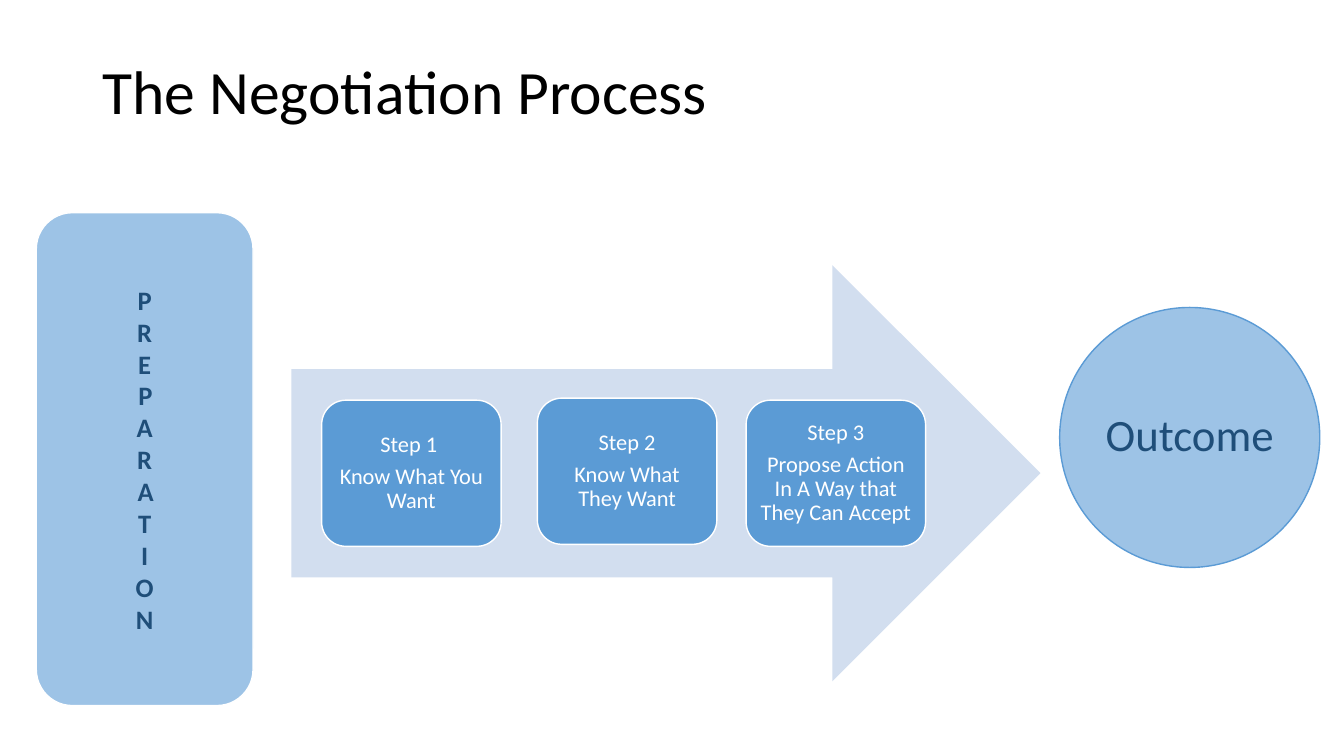
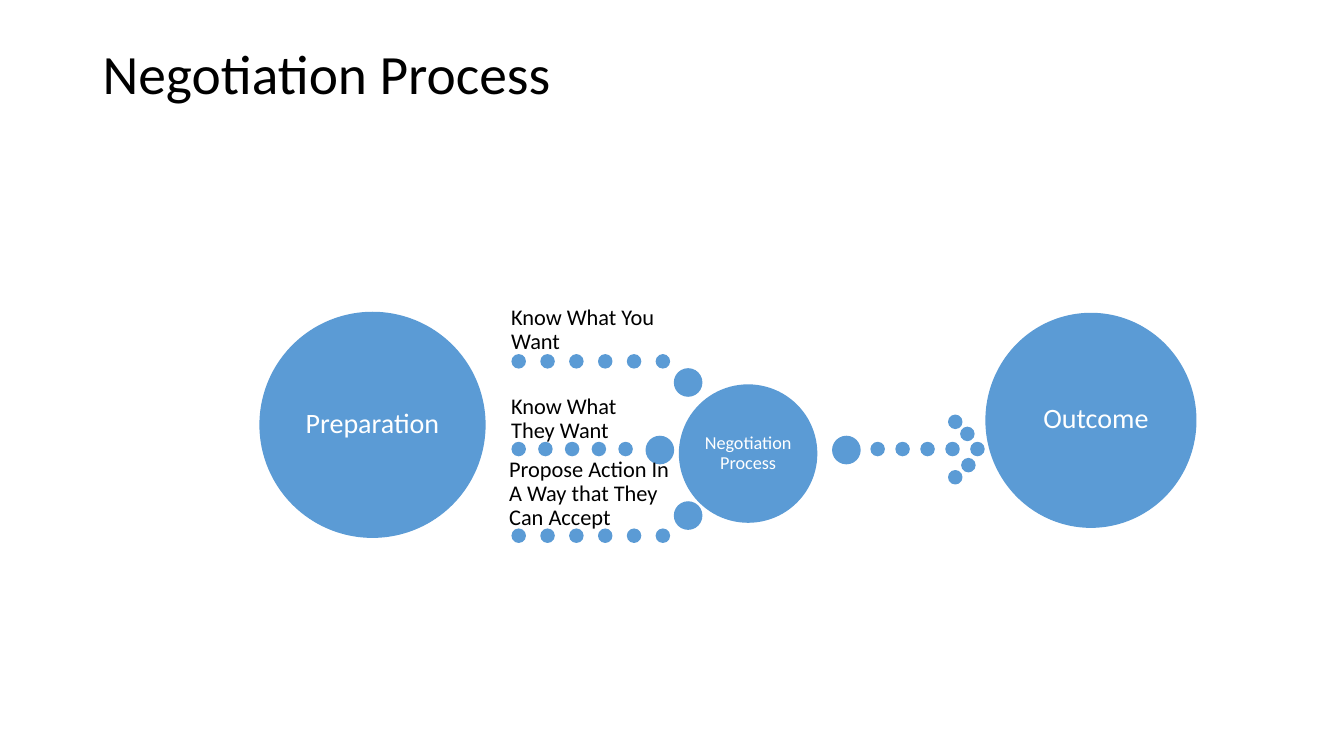
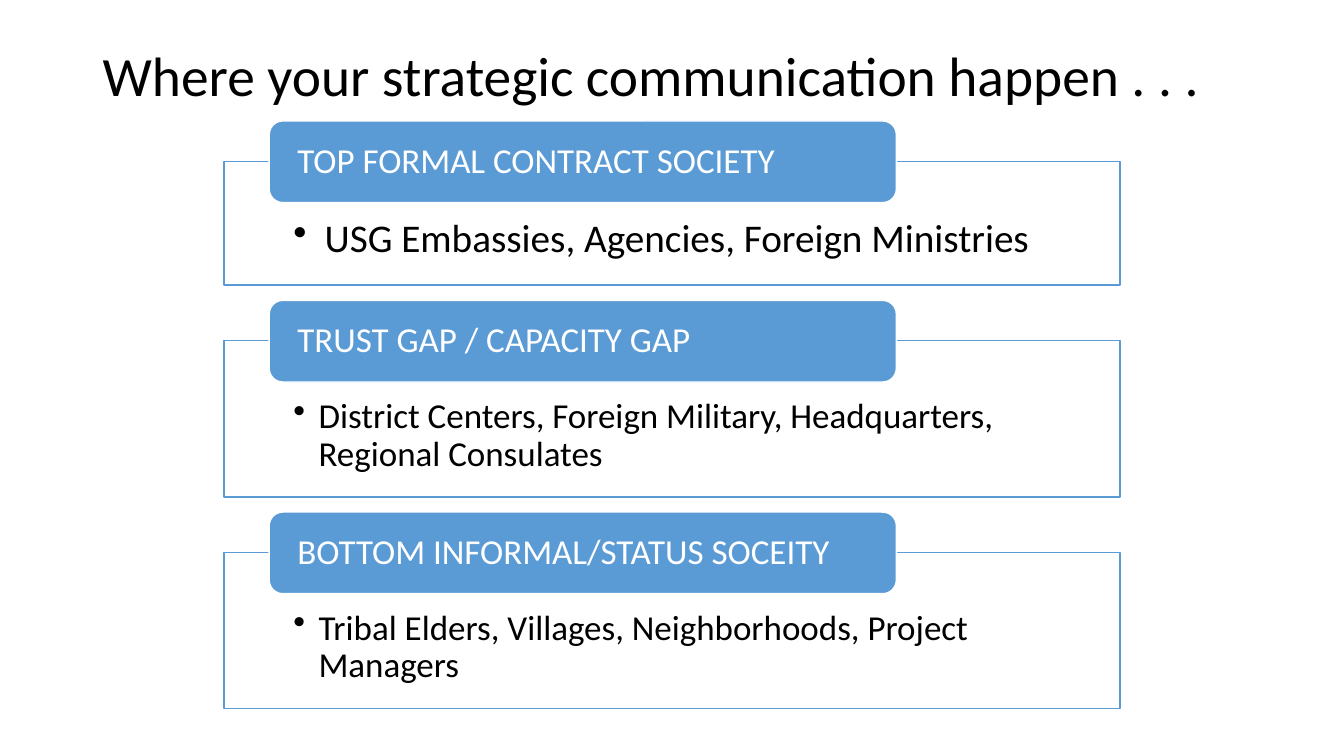
import dataclasses

import lxml.etree
import pptx
import pptx.dml.color
import pptx.enum.shapes
import pptx.enum.text
import pptx.oxml.ns
import pptx.util

Inches = pptx.util.Inches
Pt = pptx.util.Pt
Kind = pptx.enum.shapes.MSO_SHAPE
Align = pptx.enum.text.PP_ALIGN
Anchor = pptx.enum.text.MSO_ANCHOR


@dataclasses.dataclass(frozen=True)
class Theme:
    """Colours, font and type sizes shared by the slides."""
    font: str = "Calibri"
    black: str = "000000"
    white: str = "FFFFFF"
    blue: str = "5B9BD5"
    soft: str = "9DC3E6"
    pale: str = "D2DEEF"
    navy: str = "1F4E79"
    title: float = 44
    small_title: float = 39.6
    big: float = 32
    lead: float = 28
    body: float = 25
    label: float = 20
    tall: float = 19
    note: float = 16
    tiny: float = 13


THEME = Theme()


def color(code):
    """Turn a hex code into a colour."""
    return pptx.dml.color.RGBColor.from_string(code)


def assign(item, values):
    """Set each attribute named in a dict."""
    for name, value in values.items():
        setattr(item, name, value)


def write(shape, lines, size, ink=THEME.white, align=Align.CENTER,
          anchor=Anchor.MIDDLE, pads=(0, 0, 0, 0), bold=False, space=0.9):
    """Fill a shape with paragraphs and return its text frame."""
    frame = shape.text_frame
    left, top, right, bottom = map(Inches, pads)
    assign(frame, {"word_wrap": True, "vertical_anchor": anchor,
                   "margin_left": left, "margin_top": top,
                   "margin_right": right, "margin_bottom": bottom})
    frame.text = "\n".join(lines)
    for para in frame.paragraphs:
        assign(para, {"alignment": align, "line_spacing": space,
                      "space_after": Pt(0.35 * size)})
        font = para.runs[0].font
        assign(font, {"name": THEME.font, "size": Pt(size), "bold": bold})
        font.color.rgb = color(ink)
    return frame


def add_box(slide, kind, at, fill, line=None):
    """Add a flat preset shape; without a line colour it has no outline."""
    shape = slide.shapes.add_shape(kind, *map(Inches, at))
    shape.shadow.inherit = False
    shape.fill.solid()
    shape.fill.fore_color.rgb = color(fill)
    if line:
        shape.line.color.rgb = color(line)
        shape.line.width = Pt(1)
    else:
        shape.line.fill.background()
    return shape


def add_text(slide, at, text, size, **style):
    """Add a left-aligned text box."""
    box = slide.shapes.add_textbox(*map(Inches, at))
    write(box, [text], size, **{"align": Align.LEFT, **style})


def add_slide(deck, title, height, size=THEME.small_title):
    """Add a blank slide with its title."""
    slide = deck.slides.add_slide(deck.slide_layouts[6])
    add_text(slide, (0.92, 0.4, 11.5, height), title, size,
             ink=THEME.black, pads=(0.1, 0.05, 0.1, 0.05))
    return slide


def add_disc(slide, left, top, wide, high=None):
    """Add a blue disc, round unless a height is given."""
    return add_box(slide, Kind.OVAL, (left, top, wide, high or wide),
                   THEME.blue, THEME.blue)


def add_row(slide, first, last, count, top):
    """Add evenly spaced small dots from first to last."""
    step = (last - first) / (count - 1)
    for i in range(count):
        add_disc(slide, first + i * step, top, 0.13)


def add_bullet(para, indent):
    """Give a paragraph a hanging bullet."""
    props = para._p.get_or_add_pPr()
    props.set("marL", str(Inches(indent)))
    props.set("indent", str(-Inches(indent)))
    tag = pptx.oxml.ns.qn("a:buChar")
    lxml.etree.SubElement(props, tag).set("char", "\u2022")


def add_panel(slide, top, high, head, text, size, indent):
    """Add an outlined panel with a heading tab over its upper edge."""
    panel = add_box(slide, Kind.RECTANGLE, (2.22, top + 0.4, 8.89, high),
                    THEME.white, THEME.blue)
    frame = write(panel, [text], size, THEME.black, Align.LEFT, Anchor.TOP,
                  (0.69, 0.57, 0.69, 0.19))
    add_bullet(frame.paragraphs[0], indent)
    tab = add_box(slide, Kind.ROUNDED_RECTANGLE, (2.67, top, 6.22, 0.81),
                  THEME.blue, THEME.white)
    write(tab, [head], THEME.body, align=Align.LEFT, pads=(0.24, 0, 0.24, 0))


def draw_steps(deck):
    """Draw preparation, the three steps on an arrow, and the outcome."""
    slide = add_slide(deck, "The Negotiation Process", 1.08, THEME.title)
    add_box(slide, Kind.RIGHT_ARROW, (2.89, 2.63, 7.43, 4.13), THEME.pale)
    steps = [
        (3.19, 3.97, "Step 1 ", "Know What You Want"),
        (5.33, 3.95, "Step 2", "Know What They Want"),
        (7.4, 3.97, "Step 3",
         "Propose Action In A Way that They Can Accept"),
    ]
    for left, top, *lines in steps:
        card = add_box(slide, Kind.ROUNDED_RECTANGLE,
                       (left, top, 1.78, 1.45), THEME.blue, THEME.white)
        write(card, lines, THEME.note, pads=(0.07,) * 4)
    start = add_box(slide, Kind.ROUNDED_RECTANGLE, (0.36, 2.11, 2.15, 4.89),
                    THEME.soft, THEME.white)
    frame = write(start, ["PREPARATION"], THEME.tall, THEME.navy,
                  pads=(0.08,) * 4, bold=True, space=1.0)
    frame._txBody.bodyPr.set("vert", "wordArtVert")
    goal = add_box(slide, Kind.OVAL, (10.51, 3.05, 2.58, 2.58),
                   THEME.soft, THEME.blue)
    write(goal, ["Outcome"], THEME.big, THEME.navy, pads=(0.07,) * 4)


def draw_flow(deck):
    """Draw three dotted paths that meet and lead to the outcome."""
    slide = add_slide(deck, "Negotiation Process", 0.71)
    add_row(slide, 8.64, 9.63, 5, 4.39)
    add_disc(slide, 8.26, 4.33, 0.27)
    for left, top in [(9.41, 4.12), (9.53, 4.24), (9.54, 4.55), (9.41, 4.67)]:
        add_disc(slide, left, top, 0.13)
    hub = add_disc(slide, 6.74, 3.82, 1.36)
    write(hub, ["Negotiation Process"], THEME.tiny, pads=(0.02,) * 4)
    paths = [
        ((5.07, 3.17, 1.58, 0.35), "Know What You Want",
         (6.51, 6, 3.52), (6.69, 3.66)),
        ((5.07, 4.05, 1.19, 0.35), "Know What They Want",
         (6.14, 5, 4.39), (6.41, 4.33)),
        ((5.05, 4.89, 1.62, 0.37),
         "Propose Action In A Way that They Can Accept",
         (6.51, 6, 5.25), (6.69, 4.98)),
    ]
    for at, text, dots, end in paths:
        add_disc(slide, *end, 0.27)
        add_row(slide, 5.08, *dots)
        add_text(slide, at, text, THEME.note, ink=THEME.black,
                 anchor=Anchor.BOTTOM)
    start = add_disc(slide, 2.58, 3.1, 2.23)
    write(start, ["Preparation"], THEME.label, pads=(0.03,) * 4)
    add_disc(slide, 9.78, 3.11, 2.08, 2.12)
    add_text(slide, (10.25, 3.92, 1.26, 0.44), "Outcome", THEME.label,
             anchor=Anchor.TOP, pads=(0.1, 0.05, 0.1, 0.05), space=1.0)


def draw_levels(deck):
    """Draw the three levels of society as stacked panels."""
    slide = add_slide(
        deck, "Where your strategic communication happen . . .", 0.75)
    levels = [
        (1.23, "TOP FORMAL CONTRACT SOCIETY",
         "USG Embassies, Agencies, Foreign Ministries", THEME.lead, 0.31),
        (1.55, "TRUST GAP / CAPACITY GAP",
         "District Centers, Foreign Military, Headquarters, "
         "Regional Consulates", THEME.body, 0.25),
        (1.55, "BOTTOM INFORMAL/STATUS SOCEITY",
         "Tribal Elders, Villages, Neighborhoods, Project Managers",
         THEME.body, 0.25),
    ]
    top = 1.2
    for high, *rest in levels:
        add_panel(slide, top, high, *rest)
        top += 0.4 + high + 0.15


def main():
    """Build the deck and save it."""
    deck = pptx.Presentation()
    assign(deck, {"slide_width": Inches(13.33), "slide_height": Inches(7.5)})
    for draw in (draw_steps, draw_flow, draw_levels):
        draw(deck)
    deck.save("out.pptx")


main()
